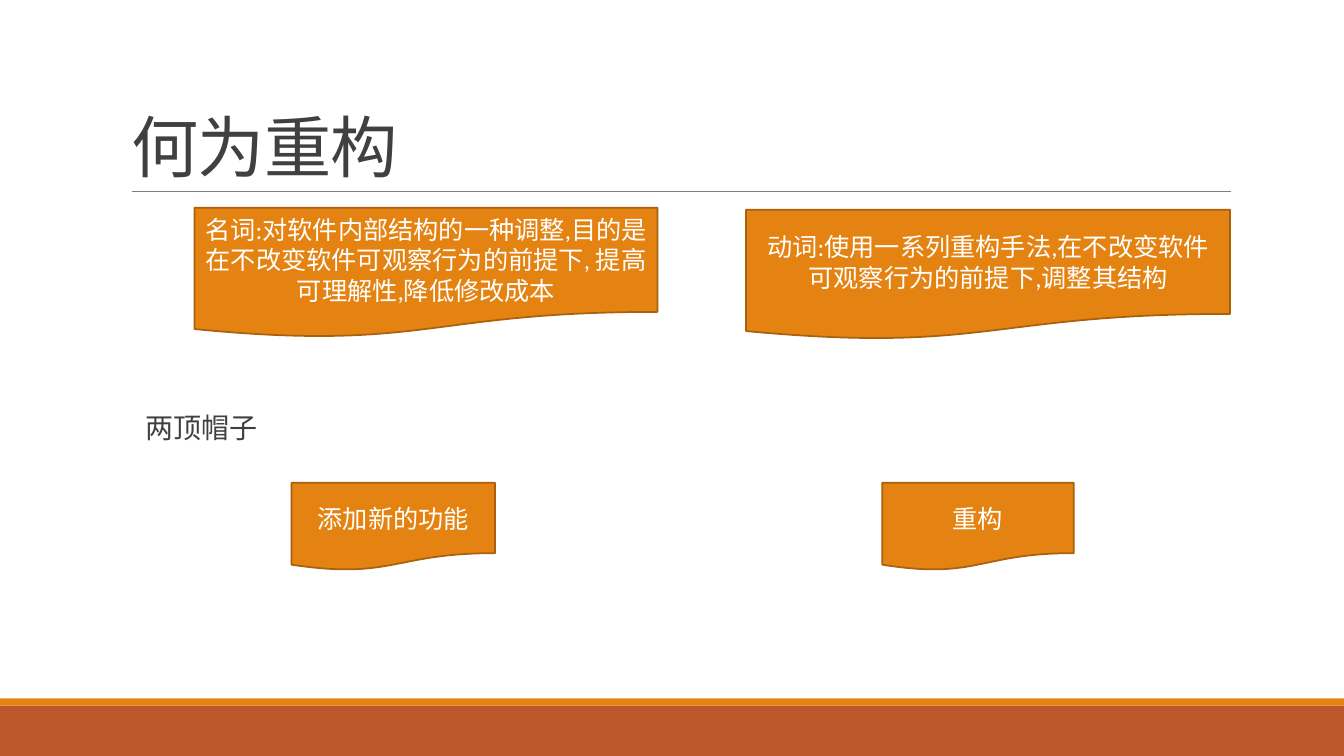
from pptx import Presentation
from pptx.dml.color import RGBColor
from pptx.enum.shapes import MSO_CONNECTOR, MSO_SHAPE
from pptx.enum.text import MSO_ANCHOR, MSO_AUTO_SIZE, PP_ALIGN
from pptx.oxml.ns import qn
from pptx.util import Inches, Pt
from lxml.etree import SubElement

COLORS = {
    "orange": "E48312",
    "orange_edge": "A9610D",
    "rust": "BD582C",
    "rule": "808080",
    "ink": "404040",
    "white": "FFFFFF",
}


def color(name):
    return RGBColor.from_string(COLORS[name])


def write_text(shape, text, size, color_name, alignment, anchor):
    """Fill the shape with one formatted paragraph and return that paragraph."""
    text_frame = shape.text_frame
    text_frame.text = text
    text_frame.word_wrap = True
    text_frame.auto_size = MSO_AUTO_SIZE.NONE
    text_frame.vertical_anchor = anchor
    paragraph = text_frame.paragraphs[0]
    paragraph.alignment = alignment
    font = paragraph.runs[0].font
    font.name = "Calibri"
    font.size = Pt(size)
    font.color.rgb = color(color_name)
    return paragraph


presentation = Presentation()
presentation.slide_width = Inches(13.33)
presentation.slide_height = Inches(7.5)
slide = presentation.slides.add_slide(presentation.slide_layouts[1])

# Title and body
title = slide.shapes.title
title.left, title.top = Inches(1.2), Inches(0.31)
title.width, title.height = Inches(11), Inches(1.59)
paragraph = write_text(title, "何为重构", 48, "ink", PP_ALIGN.LEFT, MSO_ANCHOR.BOTTOM)
paragraph.line_spacing = 0.85
paragraph.runs[0].font._element.set("spc", "-50")

body = slide.placeholders[1]
body.left, body.top = Inches(1.34), Inches(2.06)
body.width, body.height = Inches(11), Inches(4.4)
body.text_frame.margin_left = body.text_frame.margin_right = 0
paragraph = write_text(body, "两顶帽子", 20, "ink", PP_ALIGN.LEFT, MSO_ANCHOR.MIDDLE)
paragraph.line_spacing = 0.9
paragraph.space_before = Pt(0)
properties = paragraph._p.get_or_add_pPr()
properties.set("marL", str(Inches(0.1)))
properties.set("indent", "0")
SubElement(properties, qn("a:buNone"))

# Footer bands and title rule
for top, height, fill in [(7, 0.5, "rust"), (6.93, 0.07, "orange")]:
    band = slide.shapes.add_shape(
        MSO_SHAPE.RECTANGLE, 0, Inches(top), presentation.slide_width, Inches(height)
    )
    band.shadow.inherit = False
    band.fill.solid()
    band.fill.fore_color.rgb = color(fill)
    band.line.fill.background()

rule = slide.shapes.add_connector(
    MSO_CONNECTOR.STRAIGHT, Inches(1.31), Inches(1.9), Inches(12.21), Inches(1.9)
)
rule.line.color.rgb = color("rule")
rule.line.width = Pt(0.5)
SubElement(rule._element.spPr, qn("a:effectLst"))

# Definitions, then the two hats
cards = [
    (1.93, 2.06, 4.59, 1.29,
     "名词:对软件内部结构的一种调整,目的是在不改变软件可观察行为的前提下, 提高可理解性,降低修改成本"),
    (7.4, 2.08, 4.8, 1.29,
     "动词:使用一系列重构手法,在不改变软件可观察行为的前提下,调整其结构"),
    (2.89, 4.79, 2.02, 0.87, "添加新的功能"),
    (8.75, 4.79, 1.9, 0.87, "重构"),
]
for left, top, width, height, text in cards:
    card = slide.shapes.add_shape(
        MSO_SHAPE.FLOWCHART_DOCUMENT,
        Inches(left), Inches(top), Inches(width), Inches(height),
    )
    card.shadow.inherit = False
    card.fill.solid()
    card.fill.fore_color.rgb = color("orange")
    card.line.color.rgb = color("orange_edge")
    card.line.width = Pt(1.25)
    write_text(card, text, 18, "white", PP_ALIGN.CENTER, MSO_ANCHOR.MIDDLE)

presentation.save("out.pptx")
